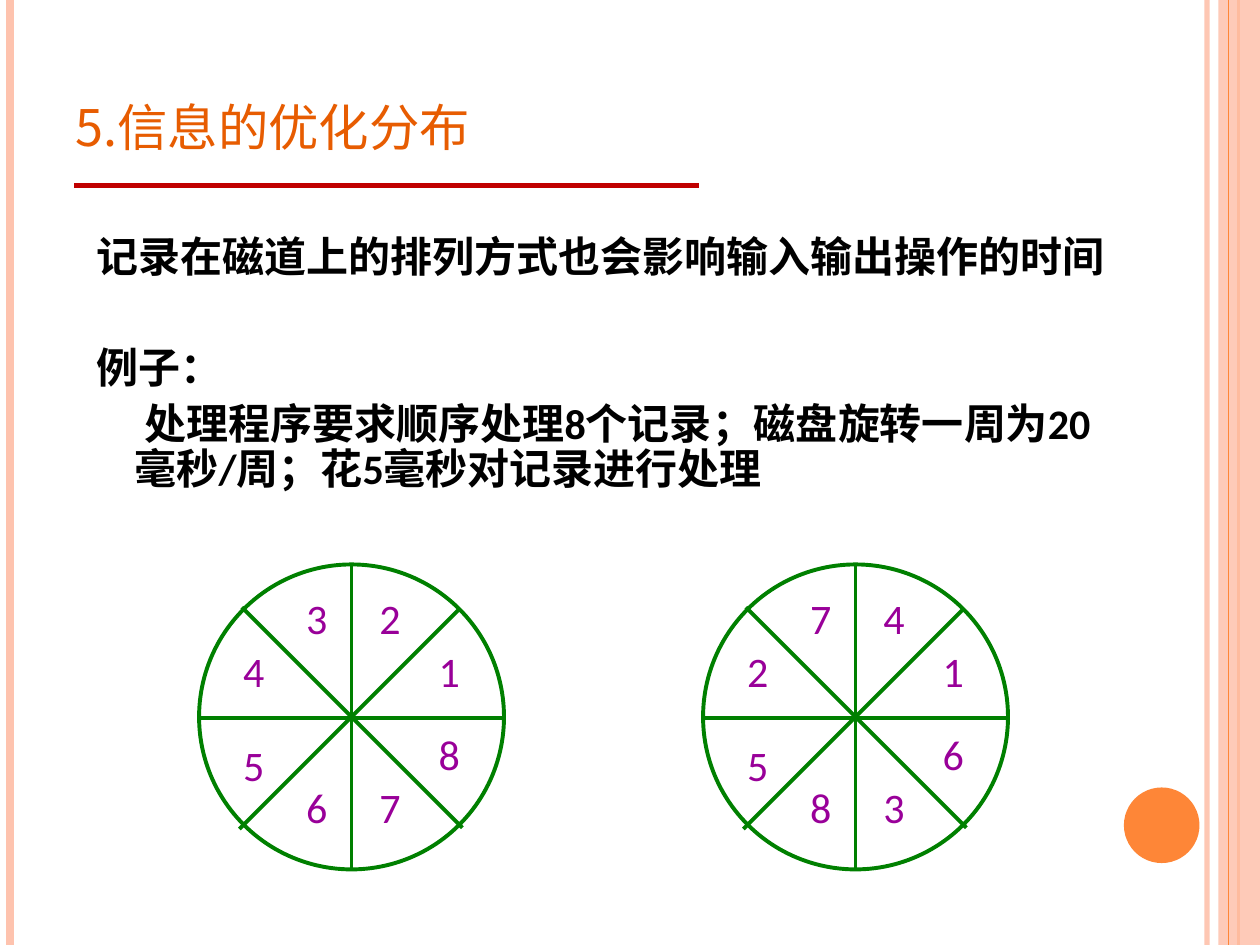
from lxml.etree import SubElement
from pptx import Presentation
from pptx.dml.color import RGBColor
from pptx.enum.shapes import MSO_CONNECTOR as CONN, MSO_SHAPE as SHAPE
from pptx.enum.text import MSO_ANCHOR as ANCHOR, MSO_AUTO_SIZE as AUTO, PP_ALIGN as ALIGN
from pptx.oxml.ns import qn
from pptx.util import Inches, Pt

PEACH, ORANGE, RED, GREEN = "FEC3AE", "FE8637", "C00000", "008000"
TITLE_COLOR, DIGIT_COLOR, BLACK = "E75C01", "990099", "000000"

DISC = 2.42
# Spokes as x1, y1, x2, y2 inside the disc box
SPOKES = [(0, 1.22, DISC, 1.22), (1.21, 0, 1.21, DISC),
          (2.07, 0.35, 0.32, 2.1), (0.34, 0.34, 2.09, 2.09)]
# Label corners inside the disc box, counter-clockwise from the right
SECTORS = [(1.8, 0.59), (1.33, 0.17), (0.75, 0.17), (0.25, 0.59),
           (0.25, 1.34), (0.75, 1.67), (1.33, 1.67), (1.8, 1.25)]


def paint(color_format, color, opacity=100):
    color_format.rgb = RGBColor.from_string(color)
    if opacity < 100:
        for clr in color_format._xFill.iter(qn("a:srgbClr")):
            SubElement(clr, qn("a:alpha")).set("val", str(opacity * 1000))


def set_font(font, name, size, color, bold=False):
    font.name, font.size, font.bold = name, Pt(size), bold
    paint(font.color, color)


def add_line(shapes, x1, y1, x2, y2, color, width):
    line = shapes.add_connector(CONN.STRAIGHT, Inches(x1), Inches(y1), Inches(x2), Inches(y2))
    paint(line.line.color, color)
    line.line.width = Pt(width)
    SubElement(line._element.spPr, qn("a:effectLst"))
    return line


def add_solid(shapes, kind, x, y, w, h, color):
    sp = shapes.add_shape(kind, Inches(x), Inches(y), Inches(w), Inches(h))
    sp.shadow.inherit = False
    sp.fill.solid()
    paint(sp.fill.fore_color, color)
    sp.line.fill.background()
    return sp


def set_opacity(sp, percent):
    for clr in sp._element.spPr.iter(qn("a:srgbClr")):
        SubElement(clr, qn("a:alpha")).set("val", str(percent * 1000))


def add_text(shapes, x, y, w, h, wrap=True):
    tf = shapes.add_textbox(Inches(x), Inches(y), Inches(w), Inches(h)).text_frame
    tf.word_wrap = wrap
    return tf


def add_frame(shapes, w, h):
    """Stripes along both edges and the round page marker."""
    set_opacity(add_line(shapes, w - 0.42, 0, w - 0.42, h, PEACH, 3), 93)
    add_line(shapes, 0.08, 0, 0.08, h, PEACH, 4.5)
    add_line(shapes, w - 0.17, 0, w - 0.17, h, ORANGE, 1.5)
    set_opacity(add_solid(shapes, SHAPE.RECTANGLE, w - 0.33, 0, 0.33, h, PEACH), 87)
    add_line(shapes, w - 0.25, 0, w - 0.25, h, ORANGE, 0.75)
    add_solid(shapes, SHAPE.OVAL, w - 1.08, h - 1.25, 0.6, 0.6, ORANGE)


def add_title(shapes, x, y, w, h, text):
    """Small-caps heading with a rule below."""
    add_line(shapes, x + 0.09, y + 1.17, x + 5.05, y + 1.17, RED, 3)
    tf = add_text(shapes, x, y, w, h)
    tf.vertical_anchor = ANCHOR.BOTTOM
    r = tf.paragraphs[0].add_run()
    r.text = text
    set_font(r.font, "Noto Sans CJK SC", 36, TITLE_COLOR)
    r._r.get_or_add_rPr().set("cap", "small")


def add_body(shapes, x, y, w, h, paragraphs):
    """Paragraphs as text, left margin, first-line indent, line spacing, space before."""
    tf = add_text(shapes, x, y, w, h)
    for i, (text, margin, indent, spacing, before) in enumerate(paragraphs):
        p = tf.paragraphs[0] if i == 0 else tf.add_paragraph()
        p.text = text
        p.line_spacing, p.space_before = spacing, Pt(before)
        pPr = p._p.get_or_add_pPr()
        pPr.set("marL", str(Inches(margin)))
        pPr.set("indent", str(Inches(indent)))
        set_font(p.font, "Calibri", 24, BLACK, bold=True)


def add_disc(shapes, x, y, records):
    """Track of eight sectors, each labelled with its record number."""
    parts = shapes.add_group_shape().shapes
    ring = parts.add_shape(SHAPE.OVAL, Inches(x), Inches(y), Inches(DISC), Inches(DISC))
    ring.shadow.inherit = False
    ring.fill.background()
    paint(ring.line.color, GREEN)
    ring.line.width = Pt(2.25)
    for x1, y1, x2, y2 in SPOKES:
        add_line(parts, x + x1, y + y1, x + x2, y + y2, GREEN, 2.25)
    for (dx, dy), record in zip(SECTORS, records):
        tf = add_text(parts, x + dx, y + dy, 0.37, 0.51, wrap=False)
        tf.auto_size = AUTO.SHAPE_TO_FIT_TEXT
        p = tf.paragraphs[0]
        p.text, p.alignment = record, ALIGN.CENTER
        set_font(p.font, "Calibri", 24, DIGIT_COLOR)


def main():
    prs = Presentation()
    prs.slide_width, prs.slide_height = Inches(10), Inches(7.5)
    shapes = prs.slides.add_slide(prs.slide_layouts[6]).shapes

    add_frame(shapes, 10, 7.5)
    add_title(shapes, 0.5, 0.3, 8.17, 1.01, "5.信息的优化分布")
    add_body(shapes, 0.67, 1.78, 8.38, 4.6, [
        ("记录在磁道上的排列方式也会影响输入输出操作的时间", 0, 0, 1, 0),
        ("例子：", 0.3, -0.3, 0.9, 38),
        ("处理程序要求顺序处理8个记录；磁盘旋转一周为20毫秒/周；花5毫秒对记录进行处理",
         0.3, 0.08, 0.9, 6),
    ])
    # Sequential layout, then optimised layout
    for x, records in ((1.58, "12345678"), (5.58, "14725836")):
        add_disc(shapes, x, 4.48, records)

    prs.save("out.pptx")


if __name__ == "__main__":
    main()
